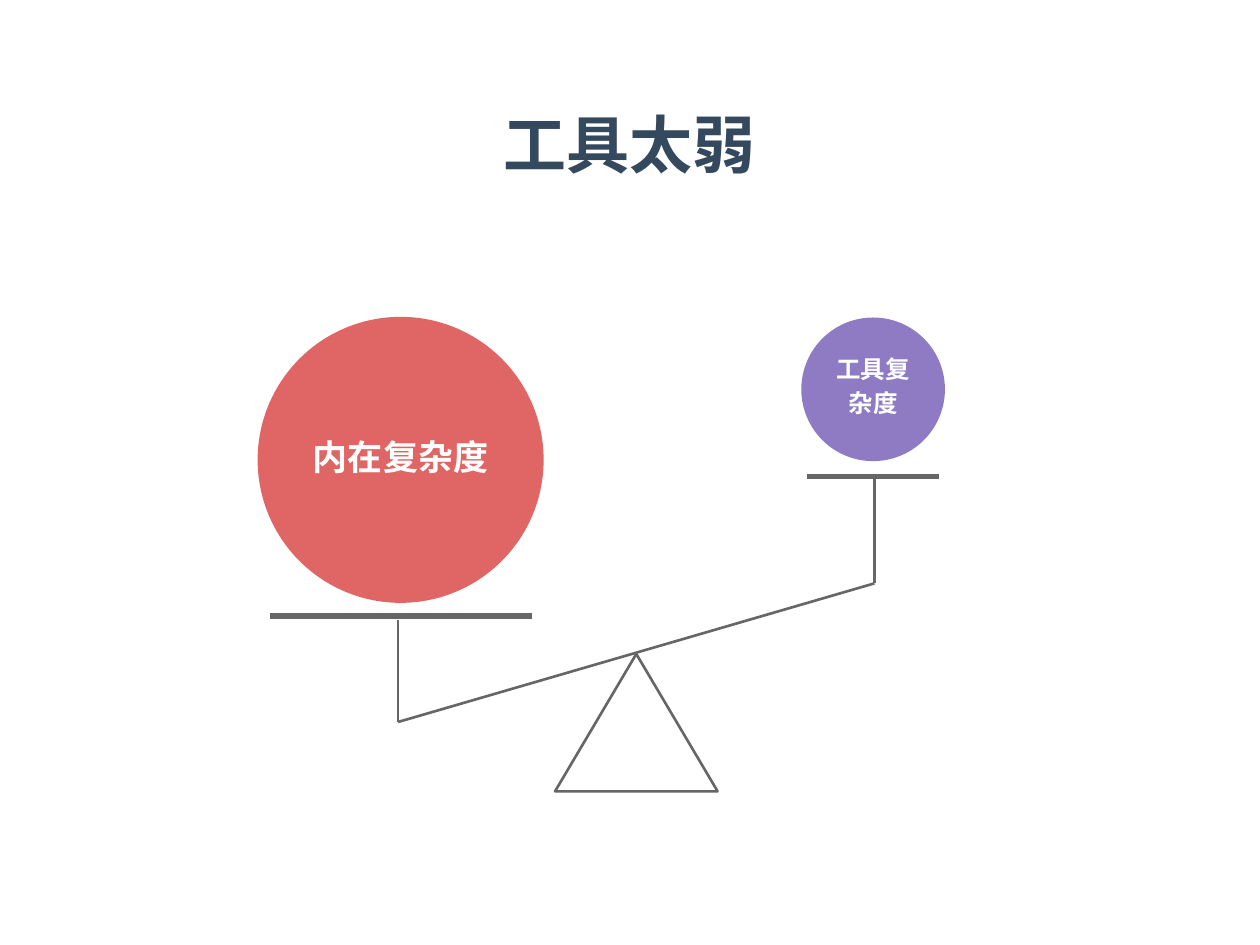
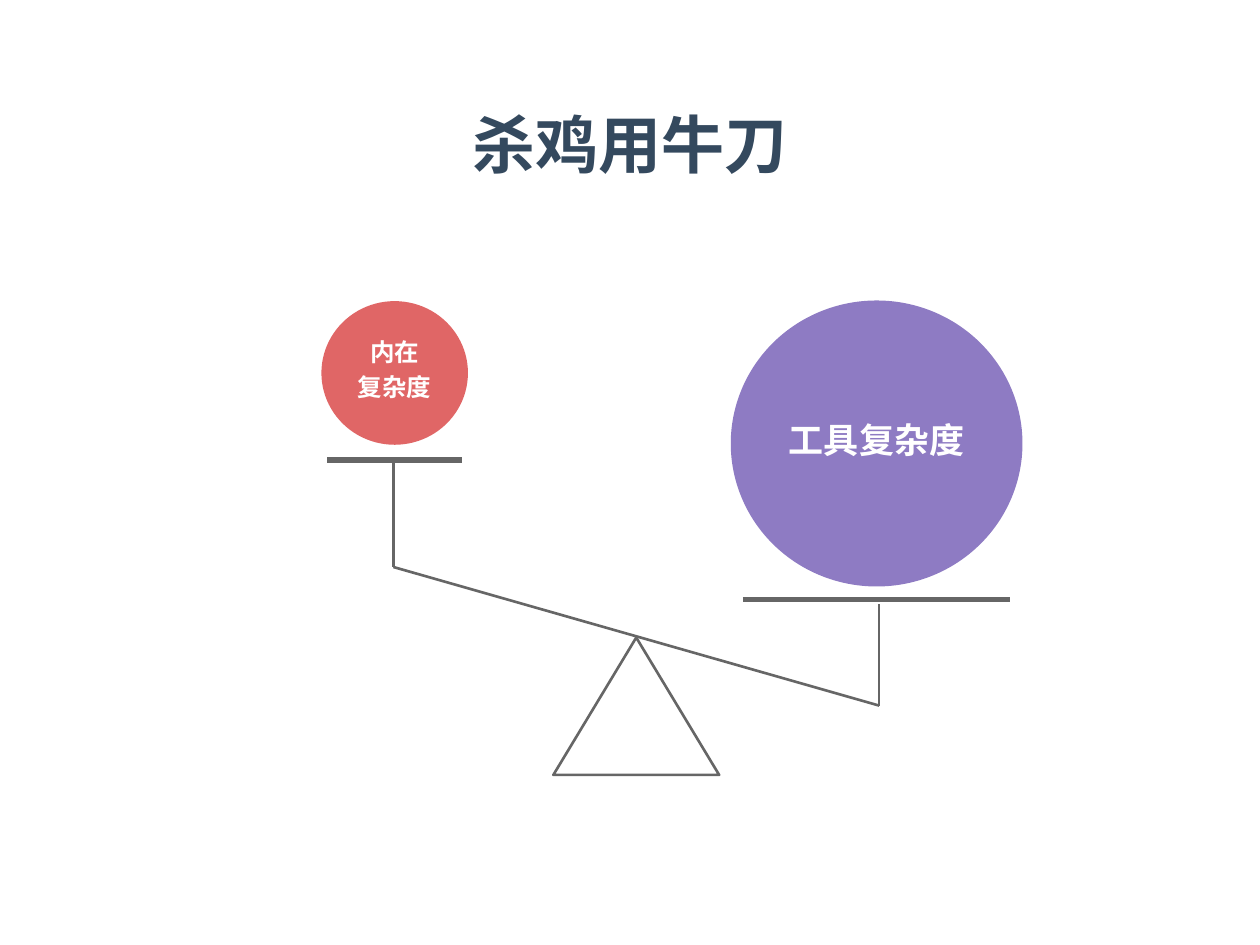
from itertools import groupby

from lxml import etree
from pptx import Presentation
from pptx import util as u
from pptx.dml.color import RGBColor
from pptx.enum import shapes, text
from pptx.oxml.ns import qn

COLORS = {
    "title": "34495E",
    "essential": "E06666",
    "tool": "8E7BC3",
    "frame": "666666",
    "label": "FFFFFF",
}
FONT = "Noto Sans CJK JP"
SIMPLIFIED_FONT = "Noto Sans CJK SC"
SIMPLIFIED_ONLY = "杂杀鸡"

# The slide is a grid of 10 columns by 7.5 rows of square cells.
COLUMNS, ROWS = 10, 7.5
CELL = u.Inches(1)
PIVOT_COLUMN = 5.05
ARM = 1.89
HEAVY_END, LIGHT_END = 0.54, -0.56


def cells(*lengths):
    return [round(length * CELL) for length in lengths]


def rgb(name):
    return RGBColor.from_string(COLORS[name])


def add_runs(paragraph, line, size, color):
    """Split a line into runs so that simplified-only characters get their font."""
    for simplified, chars in groupby(line, key=lambda c: c in SIMPLIFIED_ONLY):
        run = paragraph.add_run()
        run.text = "".join(chars)
        font = run.font
        font.name = SIMPLIFIED_FONT if simplified else FONT
        font.size = u.Pt(size)
        font.bold = True
        font.color.rgb = rgb(color)
        east_asian = etree.SubElement(run._r.get_or_add_rPr(), qn("a:ea"))
        east_asian.set("typeface", font.name)


def centred_text(slide, center, size, lines, points, color):
    """Write lines in a box of the given size around a centre point."""
    (x, y), (width, height) = center, size
    box = slide.shapes.add_textbox(*cells(x - width / 2, y - height / 2, width, height))
    frame = box.text_frame
    frame.word_wrap = True
    frame.vertical_anchor = text.MSO_ANCHOR.MIDDLE
    frame.margin_left = frame.margin_right = frame.margin_top = frame.margin_bottom = 0
    for index, line in enumerate(lines):
        paragraph = frame.add_paragraph() if index else frame.paragraphs[0]
        paragraph.alignment = text.PP_ALIGN.CENTER
        if index:
            paragraph.space_before = u.Pt(2.7)
        add_runs(paragraph, line, points, color)


def title(slide, words):
    centred_text(slide, (COLUMNS / 2, 1.14), (4, 0.63), [words], 36, "title")


def ball(slide, center, width, height, color, lines, points):
    x, y = center
    oval = slide.shapes.add_shape(
        shapes.MSO_SHAPE.OVAL, *cells(x - width / 2, y - height / 2, width, height))
    oval.shadow.inherit = False
    oval.fill.solid()
    oval.fill.fore_color.rgb = rgb(color)
    oval.line.fill.background()
    centred_text(slide, (x, y - 0.03), (width * 0.65, height / 2), lines, points, "label")


def bar(slide, start, end, weight=1.5):
    line = slide.shapes.add_connector(
        shapes.MSO_CONNECTOR.STRAIGHT, *cells(*start, *end))
    line.line.color.rgb = rgb("frame")
    line.line.width = u.Pt(weight)
    etree.SubElement(line._element.spPr, qn("a:effectLst"))


def pan(slide, center, width):
    x, y = center
    bar(slide, (x - width / 2, y), (x + width / 2, y), 3)


def fulcrum(slide, pivot_row, width, height=1.09):
    triangle = slide.shapes.add_shape(
        shapes.MSO_SHAPE.ISOSCELES_TRIANGLE,
        *cells(PIVOT_COLUMN - width / 2, pivot_row, width, height))
    triangle.shadow.inherit = False
    triangle.fill.background()
    triangle.line.color.rgb = rgb("frame")
    triangle.line.width = u.Pt(1.5)


def seesaw(slide, pivot_row, heavy_side, stretch, heavy, light):
    """Draw the tilted scale; heavy_side is -1 for left, 1 for right.

    heavy and light are (color, label lines) pairs; stretch widens the scale.
    """
    def point(arm, row):
        return PIVOT_COLUMN + heavy_side * arm * stretch, pivot_row + row

    ball(slide, point(1.87, -1.54), 2.27 * stretch, 2.27, *heavy, 20)
    ball(slide, point(-1.88, -2.1), 1.14 * stretch, 1.14, *light, 14)
    pan(slide, point(1.87, -0.3), 2.08 * stretch)
    pan(slide, point(-1.88, -1.41), 1.05 * stretch)
    bar(slide, point(-ARM, -1.4), point(-ARM, LIGHT_END))
    bar(slide, point(-ARM, LIGHT_END), point(ARM, HEAVY_END))
    bar(slide, point(ARM, HEAVY_END), point(ARM, -0.27))
    fulcrum(slide, pivot_row, 1.29 * stretch)


def main():
    deck = Presentation()
    deck.slide_width, deck.slide_height = cells(COLUMNS, ROWS)
    blank = deck.slide_layouts[6]

    weak_tool = deck.slides.add_slide(blank)
    seesaw(weak_tool, 5.19, -1, 1,
           heavy=("essential", ["内在复杂度"]),
           light=("tool", ["工具复", "杂度"]))
    title(weak_tool, "工具太弱")

    overkill = deck.slides.add_slide(blank)
    seesaw(overkill, 5.06, 1, 1.02,
           heavy=("tool", ["工具复杂度"]),
           light=("essential", ["内在", "复杂度"]))
    title(overkill, "杀鸡用牛刀")

    deck.save("out.pptx")


if __name__ == "__main__":
    main()
